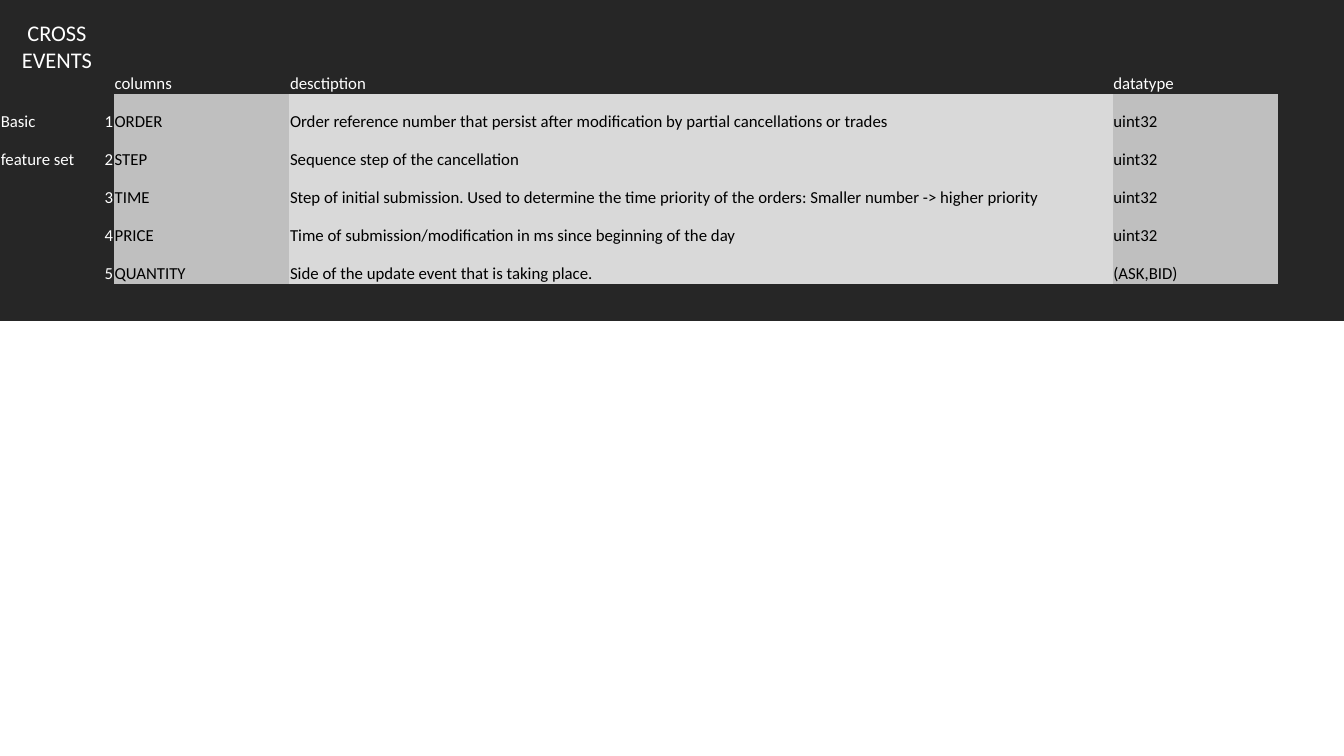
from lxml import etree
from pptx import Presentation
from pptx import util as u
from pptx.dml.color import RGBColor
from pptx.enum import text
from pptx.oxml import ns

DARK = RGBColor(0x26, 0x26, 0x26)
GREY = RGBColor(0xBF, 0xBF, 0xBF)
PALE = RGBColor(0xD9, 0xD9, 0xD9)
WHITE = RGBColor(0xFF, 0xFF, 0xFF)
BLACK = RGBColor(0, 0, 0)

COLUMN_WIDTHS = [2.01, 0.86, 4.42, 20.75, 4.17, 1.66]
ROW_HEIGHTS = [0.96] * 7 + [0.92]
FIELD_FILLS = {2: GREY, 3: PALE, 4: GREY}
HEADINGS = ["columns", "desctiption", "datatype"]
FIELDS = [
    ("Basic ", "ORDER", "Order reference number that persist after modification "
     "by partial cancellations or trades ", "uint32"),
    ("feature set", "STEP", "Sequence step of the cancellation", "uint32"),
    ("", "TIME", "Step of initial submission. Used to determine the time priority "
     "of the orders: Smaller number -> higher priority", "uint32"),
    ("", "PRICE", "Time of submission/modification in ms since beginning of the day",
     "uint32"),
    ("", "QUANTITY", "Side of the update event that is taking place. ", "(ASK,BID)"),
]


def write(cell, words, font="Calibri", size=12, color=WHITE,
          align=text.PP_ALIGN.LEFT, anchor=text.MSO_ANCHOR.BOTTOM):
    cell.vertical_anchor = anchor
    para = cell.text_frame.paragraphs[0]
    para.alignment = align
    span = para.add_run()
    span.text = words
    span.font.name = font
    span.font.size = u.Pt(size)
    span.font.color.rgb = color


class SlideBuilder:
    def __init__(self, deck, font="Calibri"):
        self.font = font
        self.page = deck.slides.add_slide(deck.slide_layouts[6])

    def table(self, left, top, widths, heights):
        frame = self.page.shapes.add_table(
            len(heights), len(widths), u.Cm(left), u.Cm(top),
            u.Cm(sum(widths)), u.Cm(sum(heights)))
        grid = frame.table
        grid.first_row = grid.horz_banding = False
        for column, width in zip(grid.columns, widths):
            column.width = u.Cm(width)
        for row, height in zip(grid.rows, heights):
            row.height = u.Cm(height)
        for cell in grid.iter_cells():
            self.plain_cell(cell, DARK)
        return grid

    def plain_cell(self, cell, fill):
        cell.margin_left = cell.margin_right = cell.margin_top = u.Cm(0.02)
        cell.margin_bottom = 0
        cell.fill.solid()
        cell.fill.fore_color.rgb = fill
        properties = cell._tc.get_or_add_tcPr()
        for place, side in enumerate(("lnL", "lnR", "lnT", "lnB")):
            border = etree.Element(ns.qn("a:" + side), w="0")
            etree.SubElement(border, ns.qn("a:noFill"))
            properties.insert(place, border)

    def cell_text(self, cell, words, **style):
        if words:
            write(cell, words, font=self.font, **style)


deck = Presentation()
deck.slide_width, deck.slide_height = u.Cm(33.87), u.Cm(19.05)
builder = SlideBuilder(deck)
events = builder.table(0, 0, COLUMN_WIDTHS, ROW_HEIGHTS)

title = events.cell(0, 0)
title.merge(events.cell(1, 1))
builder.cell_text(title, "CROSS EVENTS", size=16,
                  align=text.PP_ALIGN.CENTER, anchor=text.MSO_ANCHOR.MIDDLE)

for column, heading in enumerate(HEADINGS, 2):
    builder.cell_text(events.cell(1, column), heading)

for number, (group, *details) in enumerate(FIELDS, 1):
    row = number + 1
    builder.cell_text(events.cell(row, 0), group)
    builder.cell_text(events.cell(row, 1), str(number), align=text.PP_ALIGN.RIGHT)
    for (column, fill), detail in zip(FIELD_FILLS.items(), details):
        cell = events.cell(row, column)
        cell.fill.fore_color.rgb = fill
        builder.cell_text(cell, detail, color=BLACK)

deck.save("out.pptx")
